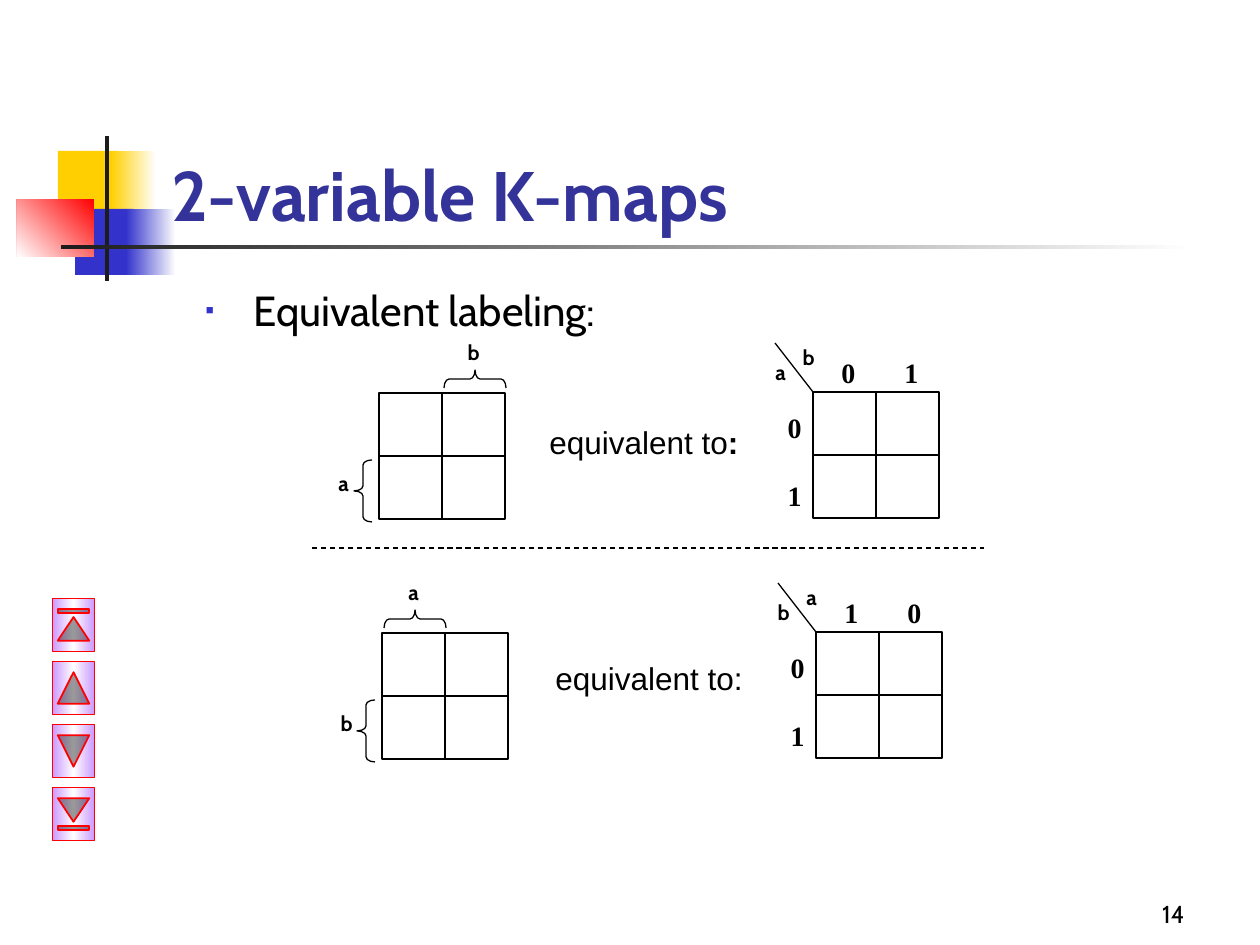
from lxml import etree
from pptx import Presentation, util as u
from pptx.dml.color import RGBColor
from pptx.enum import dml, shapes, text
from pptx.oxml import ns, xmlchemy

SCALE = 914400 / 126  # EMU per px
BLACK = RGBColor(0x00, 0x00, 0x00)
WHITE = RGBColor(0xFF, 0xFF, 0xFF)
CHARCOAL = RGBColor(0x1C, 0x1C, 0x1C)
YELLOW = RGBColor(0xFF, 0xCF, 0x01)
BLUE = RGBColor(0x33, 0x33, 0xCC)
NAVY = RGBColor(0x33, 0x33, 0x99)
RED = RGBColor(0xFF, 0x00, 0x00)
LILAC = RGBColor(0xCC, 0x99, 0xFF)
SHAPE = shapes.MSO_SHAPE
ALIGN = text.PP_ALIGN
CELL = 63


def px(n):
    return u.Emu(round(n * SCALE))


def add_child(parent, tag, **attrs):
    child = etree.SubElement(parent, ns.qn(tag))
    for name, value in attrs.items():
        child.set(name, str(value))
    return child


def set_gradient(shape, colors, angle):
    """Spread colors evenly along a clockwise angle in degrees."""
    shape.fill.gradient()
    grad = shape.fill._xPr.find(ns.qn("a:gradFill"))
    for child in list(grad):
        grad.remove(child)
    stops = add_child(grad, "a:gsLst")
    for i, color in enumerate(colors):
        stop = add_child(stops, "a:gs", pos=100000 * i // (len(colors) - 1))
        add_child(stop, "a:srgbClr", val=color)
    add_child(grad, "a:lin", ang=angle * 60000, scaled=0)


def add_outline(slide, preset, x, y, w, h, color=BLACK, width=0.75):
    shape = slide.shapes.add_shape(preset, px(x), px(y), px(w), px(h))
    shape.shadow.inherit = False
    shape.fill.background()
    if color is None:
        shape.line.fill.background()
    else:
        shape.line.color.rgb = color
        shape.line.width = u.Pt(width)
    return shape


def add_line(slide, x1, y1, x2, y2):
    line = slide.shapes.add_connector(shapes.MSO_CONNECTOR.STRAIGHT, px(x1), px(y1), px(x2), px(y2))
    line.line.color.rgb = BLACK
    line.line.width = u.Pt(0.75)
    add_child(line._element.spPr, "a:effectLst")
    return line


def add_text(slide, x, y, w, h, lines, size, font="Cabin", bold=False,
             color=BLACK, align=ALIGN.LEFT, anchor=text.MSO_ANCHOR.TOP):
    frame = slide.shapes.add_textbox(px(x), px(y), px(w), px(h)).text_frame
    frame.word_wrap = True
    frame.vertical_anchor = anchor
    for i, line in enumerate(lines):
        paragraph = frame.add_paragraph() if i else frame.paragraphs[0]
        paragraph.text = line
        paragraph.alignment = align
        paragraph.font.size = u.Pt(size)
        paragraph.font.name = font
        paragraph.font.bold = bold
        paragraph.font.color.rgb = color
    return frame


def add_decoration(slide, x, y):
    """Overlapping colour blocks with a crossing bar and rule."""
    blocks = [
        (41, 15, 60, 66, [YELLOW], 0),
        (94, 15, 45, 66, [WHITE, YELLOW], 180),
        (58, 73, 58, 66, [BLUE], 0),
        (109, 73, 50, 66, [WHITE, BLUE], 180),
        (0, 63, 77, 58, [RED, WHITE], 135),
        (88, 0, 4, 145, [CHARCOAL], 0),
        (44, 109, 1134, 4, [WHITE, CHARCOAL], 180),
    ]
    for dx, dy, w, h, colors, angle in blocks:
        block = add_outline(slide, SHAPE.RECTANGLE, x + dx, y + dy, w, h, None)
        if len(colors) == 1:
            block.fill.solid()
            block.fill.fore_color.rgb = colors[0]
        else:
            set_gradient(block, colors, angle)


def add_bullet(slide, x, y, w, h, line):
    frame = add_text(slide, x, y, w, h, [], 24)
    paragraph = frame.paragraphs[0]
    paragraph.text = line
    props = paragraph._p.get_or_add_pPr()
    props.set("marL", str(px(48)))
    props.set("indent", str(-px(48)))
    add_child(add_child(props, "a:buClr"), "a:srgbClr", val=BLUE)
    add_child(props, "a:buSzPct", val=60000)
    add_child(props, "a:buFont", typeface="Arial")
    add_child(props, "a:buChar", char="▪")
    paragraph.font.size = u.Pt(24)
    paragraph.font.name = "Cabin"
    paragraph.font.color.rgb = BLACK


def add_grid(slide, x, y):
    """Two by two cells."""
    side = 2 * CELL
    frame = add_outline(slide, SHAPE.RECTANGLE, x, y, side, side)
    across = add_line(slide, x, y + CELL, x + side, y + CELL)
    across.begin_connect(frame, 1)
    across.end_connect(frame, 3)
    down = add_line(slide, x + CELL, y, x + CELL, y + side)
    down.begin_connect(frame, 0)
    down.end_connect(frame, 2)


def add_variable(slide, x, y, h, name):
    add_text(slide, x, y, 55, h, [name], 12, bold=True, align=ALIGN.CENTER)


def add_braced_map(slide, x, y, row_variable, column_variable, column):
    """K-map whose second row and given column are marked by braces."""
    add_grid(slide, x, y)
    column_x = x + column * CELL
    for brace_x, brace_y, turn in ((x - 25, y + 67, 0), (column_x + 24, y - 45, 90)):
        brace = add_outline(slide, SHAPE.LEFT_BRACE, brace_x, brace_y, 18, 62)
        brace.adjustments[0] = 0.28
        brace.rotation = turn
    add_variable(slide, x - 63, y + 71, 50, row_variable)
    add_variable(slide, column_x + 4, y - 60, 40, column_variable)


def add_numbered_map(slide, x, y, row_variable, column_variable, column_values):
    """K-map with values along its top and left sides."""
    add_grid(slide, x, y)
    add_line(slide, x, y, x - 38, y - 49)
    add_variable(slide, x - 60, y - 39, 50, row_variable)
    add_variable(slide, x - 32, y - 54, 40, column_variable)
    header = add_text(slide, x + 16, y - 43, 127, 49, [], 16)
    values = header.paragraphs[0]
    values.text = "\t".join(column_values)
    tabs = add_child(values._p.get_or_add_pPr(), "a:tabLst")
    add_child(tabs, "a:tab", pos=px(CELL), algn="l")
    values.font.size = u.Pt(16)
    values.font.name = "Times New Roman"
    values.font.bold = True
    values.font.color.rgb = BLACK
    rows = add_text(slide, x - 54, y + 12, 55, 107, ["0", "1"], 16,
                    "Times New Roman", True, align=ALIGN.RIGHT)
    rows.paragraphs[1].space_before = u.Pt(20)


def add_navigation(slide, x, y):
    """Column of buttons, each turned a quarter."""
    presets = (SHAPE.ACTION_BUTTON_BEGINNING, SHAPE.ACTION_BUTTON_BACK_OR_PREVIOUS,
               SHAPE.ACTION_BUTTON_FORWARD_OR_NEXT, SHAPE.ACTION_BUTTON_END)
    for i, preset in enumerate(presets):
        button = add_outline(slide, preset, x, y + i * 63, 53, 42, RED, 1)
        button.rotation = 90
        set_gradient(button, [LILAC, WHITE, LILAC], 90)


def main():
    prs = Presentation()
    prs.slide_width, prs.slide_height = px(1260), px(945)
    slide = prs.slides.add_slide(prs.slide_layouts[6])

    # Heading
    add_decoration(slide, 17, 136)
    add_text(slide, 159, 84, 1074, 158, ["2-variable K-maps"], 40, bold=True,
             color=NAVY, anchor=text.MSO_ANCHOR.BOTTOM)
    add_bullet(slide, 193, 278, 1041, 73, "Equivalent labeling:")

    # First equivalence
    add_braced_map(slide, 379, 393, "a", "b", 1)
    phrase = add_text(slide, 537, 417, 227, 50, ["equivalent to"], 18, "Arial")
    colon = phrase.paragraphs[0].add_run()
    colon.text = ":"
    colon.font.bold = True
    add_numbered_map(slide, 813, 392, "a", "b", "01")

    divider = add_line(slide, 312, 548, 984, 548)
    divider.line.dash_style = dml.MSO_LINE.DASH

    # Second equivalence
    add_braced_map(slide, 382, 633, "b", "a", 0)
    add_text(slide, 543, 653, 223, 50, ["equivalent to:"], 18, "Arial")
    add_numbered_map(slide, 816, 632, "b", "a", "10")

    # Navigation and page number
    add_navigation(slide, 47, 604)
    add_text(slide, 935, 872, 262, 63, ["14"], 14, align=ALIGN.RIGHT,
             anchor=text.MSO_ANCHOR.BOTTOM)
    prs.save("out.pptx")


if __name__ == "__main__":
    main()
